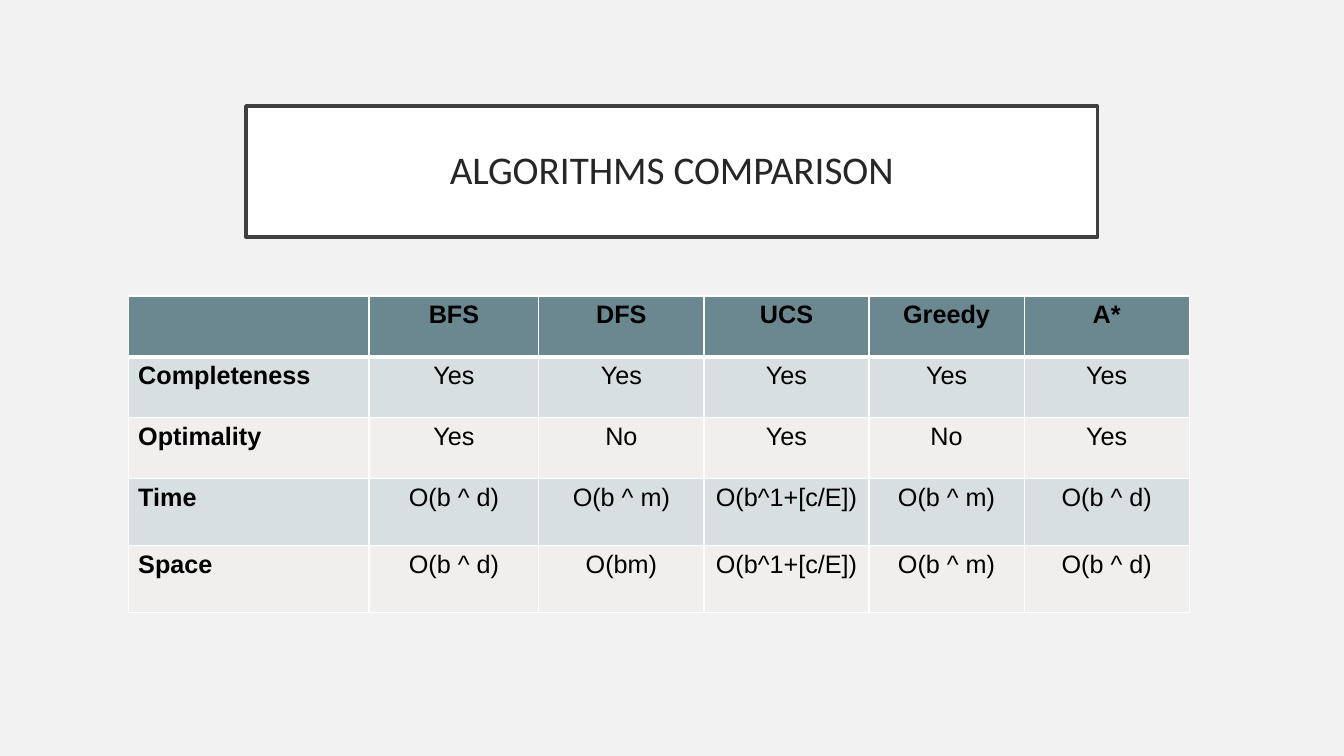
"""Build a slide that compares five search algorithms in a table."""
from lxml.etree import SubElement
from pptx import Presentation
from pptx.dml.color import RGBColor
from pptx.enum.shapes import MSO_SHAPE
from pptx.enum.text import MSO_ANCHOR, PP_ALIGN
from pptx.oxml.ns import qn
from pptx.util import Cm, Pt

TITLE = "ALGORITHMS COMPARISON"
ROWS = [
    ("", "BFS", "DFS", "UCS", "Greedy", "A*"),
    ("Completeness", "Yes", "Yes", "Yes", "Yes", "Yes"),
    ("Optimality", "Yes", "No", "Yes", "No", "Yes"),
    ("Time", "O(b ^ d)", "O(b ^ m)", "O(b^1+[c/E])", "O(b ^ m)", "O(b ^ d)"),
    ("Space", "O(b ^ d)", "O(bm)", "O(b^1+[c/E])", "O(b ^ m)", "O(b ^ d)"),
]
COLUMN_WIDTHS = (6.07, 4.28, 4.16, 4.16, 3.91, 4.16)
ROW_HEIGHTS = (1.53, 1.53, 1.53, 1.69, 1.69)
HEADER_FILL = "6B8891"
BAND_FILLS = ("F0EFEE", "D7DFE1")


def paint(color_format, value):
    color_format.rgb = RGBColor.from_string(value)


def fill_solid(fill, value):
    fill.solid()
    paint(fill.fore_color, value)


def style_text(para, font_name, size, color, bold, align):
    para.alignment = align
    for span in para.runs:
        span.font.name = font_name
        span.font.size = Pt(size)
        span.font.bold = bold
        paint(span.font.color, color)


def add_border(cell, side, points):
    properties = cell._tc.get_or_add_tcPr()
    line = SubElement(properties, qn(f"a:ln{side}"), w=str(Pt(points)))
    solid = SubElement(line, qn("a:solidFill"))
    SubElement(solid, qn("a:srgbClr"), val="FFFFFF")


def add_title(page):
    box = page.shapes.add_shape(
        MSO_SHAPE.RECTANGLE, Cm(6.2), Cm(2.67), Cm(21.46), Cm(3.3))
    box.shadow.inherit = False
    fill_solid(box.fill, "FFFFFF")
    paint(box.line.color, "404040")
    box.line.width = Pt(2.5)
    frame = box.text_frame
    frame.text = TITLE
    frame.word_wrap = True
    frame.vertical_anchor = MSO_ANCHOR.MIDDLE
    frame.margin_left = frame.margin_right = Cm(0.5)
    frame.margin_top = frame.margin_bottom = Cm(0.5)
    para = frame.paragraphs[0]
    para.line_spacing = 0.9
    style_text(para, "Calibri", 28, "262626", False, PP_ALIGN.CENTER)


def add_comparison(page):
    table = page.shapes.add_table(
        len(ROWS), len(COLUMN_WIDTHS), Cm(3.23), Cm(7.46),
        Cm(sum(COLUMN_WIDTHS)), Cm(sum(ROW_HEIGHTS))).table
    for column, width in zip(table.columns, COLUMN_WIDTHS):
        column.width = Cm(width)
    for row_index, (row, height) in enumerate(zip(table.rows, ROW_HEIGHTS)):
        row.height = Cm(height)
        header = row_index == 0
        fill = HEADER_FILL if header else BAND_FILLS[row_index % 2]
        borders = {"L": 1, "R": 1, "T": 3 if row_index == 1 else 1,
                   "B": 3 if header else 1}
        for column_index, cell in enumerate(row.cells):
            label = column_index == 0
            for side, points in borders.items():
                add_border(cell, side, points)
            fill_solid(cell.fill, fill)
            cell.text_frame.text = ROWS[row_index][column_index]
            style_text(cell.text_frame.paragraphs[0], "Arial", 18, "000000",
                       header or label,
                       PP_ALIGN.LEFT if label else PP_ALIGN.CENTER)


def main():
    deck = Presentation()
    deck.slide_width, deck.slide_height = Cm(33.87), Cm(19.05)
    page = deck.slides.add_slide(deck.slide_layouts[6])
    fill_solid(page.background.fill, "F2F2F2")
    add_title(page)
    add_comparison(page)
    deck.save("out.pptx")


if __name__ == "__main__":
    main()
